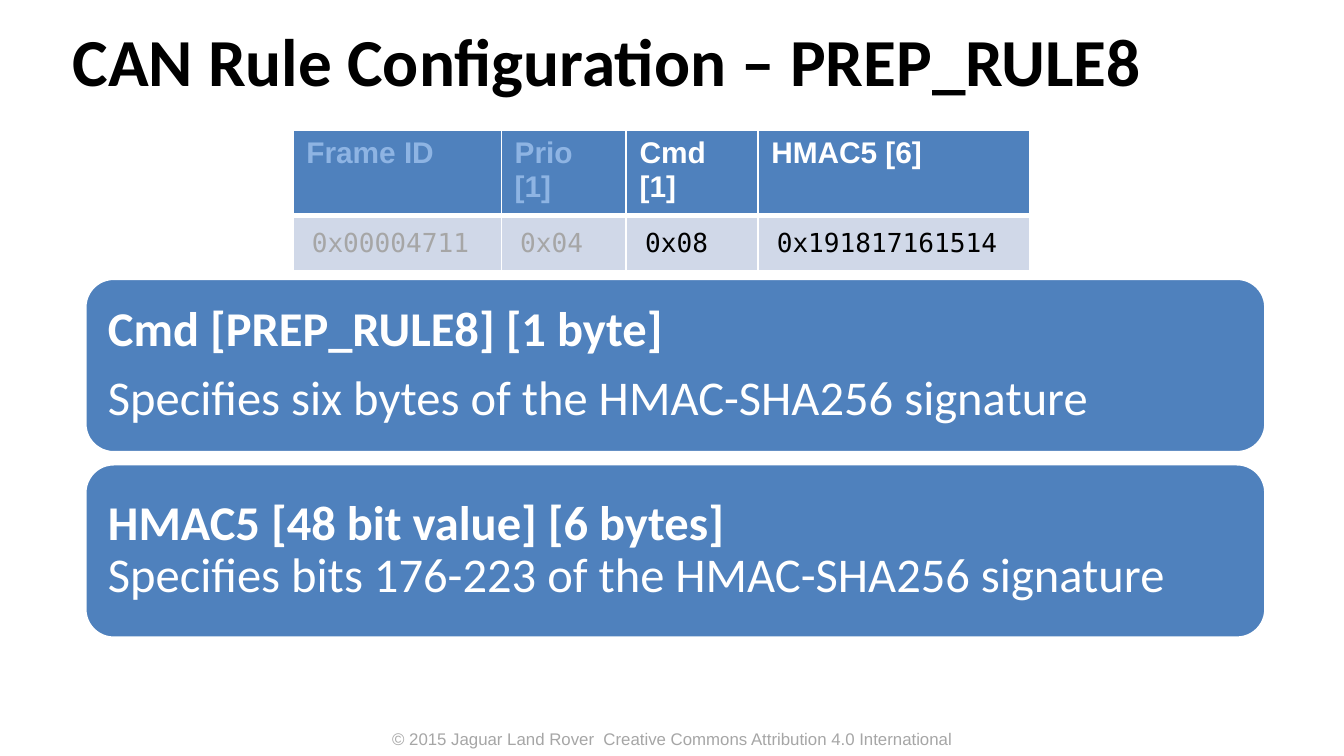
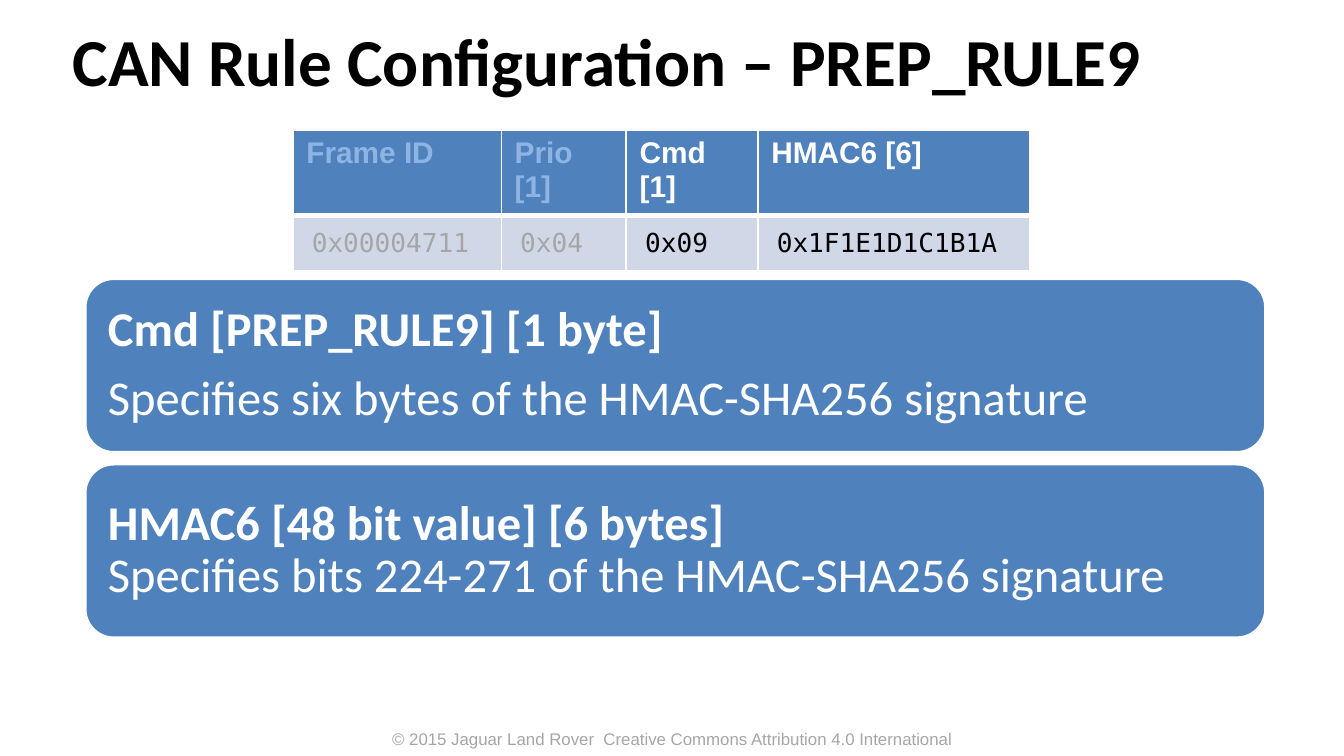
from lxml.etree import SubElement
from pptx import Presentation
from pptx.dml.color import RGBColor
from pptx.enum.shapes import MSO_SHAPE
from pptx.enum.text import MSO_ANCHOR, MSO_AUTO_SIZE, PP_ALIGN
from pptx.oxml.ns import qn
from pptx.util import Inches, Pt

COLORS = {
    "black": "000000",
    "white": "FFFFFF",
    "blue": "4F81BD",
    "muted_header": "8EB4E3",
    "muted": "A6A6A6",
    "pale": "D0D8E8",
}
HEADING_FONT = "Calibri"
LABEL_FONT = "Arial"
VALUE_FONT = "DejaVu Sans Mono"

SLIDE_WIDTH = Inches(10)
SLIDE_HEIGHT = SLIDE_WIDTH * 9 // 16
TITLE_BOX = (0.54, 0.08, 8.74, 0.79)
TABLE_BOX = (2.18, 0.97, 5.48, 0.82)
CARDS_BOX = (0.63, 2.07, 8.79, 2.68)
FOOTER_BOX = (2.5, 5.37, 5, 0.25)

COLUMN_WIDTHS = (1.55, 0.93, 0.98, 2.02)
MUTED_COLUMNS = 2
CARD_HEIGHT = 1.3
FOOTER = "© 2015 Jaguar Land Rover  Creative Commons Attribution 4.0 International"

RULES = (
    {"command": 8, "part": 5, "value": "0x191817161514", "bits": "176-223"},
    {"command": 9, "part": 6, "value": "0x1F1E1D1C1B1A", "bits": "224-271"},
)


def color(name):
    return RGBColor.from_string(COLORS[name])


def lengths(box):
    return [Inches(value) for value in box]


def add_run(paragraph, text, font, size, color_name, bold=False):
    run = paragraph.add_run()
    run.text = text
    run.font.name = font
    run.font.size = Pt(size)
    run.font.bold = bold
    run.font.color.rgb = color(color_name)


def set_insets(target, horizontal, vertical):
    target.margin_left = target.margin_right = Inches(horizontal)
    target.margin_top = target.margin_bottom = Inches(vertical)


def set_borders(cell, widths):
    properties = cell._tc.get_or_add_tcPr()
    for side, width in zip("LRTB", widths):
        line = SubElement(properties, qn(f"a:ln{side}"), w=str(Pt(width)))
        fill = SubElement(line, qn("a:solidFill"))
        SubElement(fill, qn("a:srgbClr"), val=COLORS["white"])


def add_title(slide, box, text):
    title = slide.shapes.title
    title.left, title.top, title.width, title.height = lengths(box)
    frame = title.text_frame
    frame.word_wrap = True
    frame.auto_size = MSO_AUTO_SIZE.NONE
    frame.vertical_anchor = MSO_ANCHOR.MIDDLE
    set_insets(frame, 0, 0)
    paragraph = frame.paragraphs[0]
    paragraph.alignment = PP_ALIGN.LEFT
    paragraph.line_spacing = 0.95
    add_run(paragraph, text, HEADING_FONT, 36, "black", True)


def add_frame_table(slide, box, headers, values):
    table = slide.shapes.add_table(2, len(headers), *lengths(box)).table
    for index, width in enumerate(COLUMN_WIDTHS):
        table.columns[index].width = Inches(width)
        muted = index < MUTED_COLUMNS

        header = table.cell(0, index)
        set_borders(header, (1, 1, 1, 3))
        header.fill.solid()
        header.fill.fore_color.rgb = color("blue")
        add_run(header.text_frame.paragraphs[0], headers[index], LABEL_FONT, 16,
                "muted_header" if muted else "white", True)

        value = table.cell(1, index)
        set_borders(value, (1, 1, 3, 1))
        value.fill.solid()
        value.fill.fore_color.rgb = color("pale")
        value.vertical_anchor = MSO_ANCHOR.MIDDLE
        set_insets(value, 0.14, 0.06)
        add_run(value.text_frame.paragraphs[0], values[index], VALUE_FONT, 14,
                "muted" if muted else "black")


def add_card(slide, box, heading, detail, same_paragraph):
    card = slide.shapes.add_shape(MSO_SHAPE.ROUNDED_RECTANGLE, *lengths(box))
    card.shadow.inherit = False
    card.fill.solid()
    card.fill.fore_color.rgb = color("blue")
    card.line.color.rgb = color("white")
    card.line.width = Pt(2)
    frame = card.text_frame
    frame.word_wrap = True
    frame.vertical_anchor = MSO_ANCHOR.MIDDLE
    set_insets(frame, 0.11, 0.11)
    paragraph = frame.paragraphs[0]
    add_run(paragraph, heading, HEADING_FONT, 26, "white", True)
    if same_paragraph:
        paragraph.add_line_break()
    else:
        paragraph = frame.add_paragraph()
    add_run(paragraph, detail, HEADING_FONT, 26, "white")
    for paragraph in frame.paragraphs:
        paragraph.alignment = PP_ALIGN.LEFT
        paragraph.line_spacing = 0.9
        paragraph.space_after = Pt(9.1)


def add_cards(slide, box, cards):
    left, top, width, height = box
    pitch = (height - CARD_HEIGHT) / (len(cards) - 1)
    for index, card in enumerate(cards):
        add_card(slide, (left, top + index * pitch, width, CARD_HEIGHT), *card)


def add_footer(slide, box):
    frame = slide.shapes.add_textbox(*lengths(box)).text_frame
    frame.word_wrap = True
    paragraph = frame.paragraphs[0]
    paragraph.alignment = PP_ALIGN.CENTER
    add_run(paragraph, FOOTER, LABEL_FONT, 9, "muted")


def add_rule_slide(presentation, rule):
    slide = presentation.slides.add_slide(presentation.slide_layouts[5])
    name = f"PREP_RULE{rule['command']}"
    signature = f"HMAC{rule['part']}"
    add_footer(slide, FOOTER_BOX)
    add_title(slide, TITLE_BOX, f"CAN Rule Configuration – {name}")
    add_cards(slide, CARDS_BOX, (
        (f"Cmd [{name}] [1 byte]",
         "Specifies six bytes of the HMAC-SHA256 signature", False),
        (f"{signature} [48 bit value] [6 bytes]",
         f"Specifies bits {rule['bits']} of the HMAC-SHA256 signature", True),
    ))
    add_frame_table(
        slide, TABLE_BOX,
        ("Frame ID", "Prio [1]", "Cmd [1]", f"{signature} [6]"),
        ("0x00004711", "0x04", f"0x{rule['command']:02}", rule["value"]),
    )


def main():
    presentation = Presentation()
    presentation.slide_width = SLIDE_WIDTH
    presentation.slide_height = SLIDE_HEIGHT
    for rule in RULES:
        add_rule_slide(presentation, rule)
    presentation.save("out.pptx")


if __name__ == "__main__":
    main()
